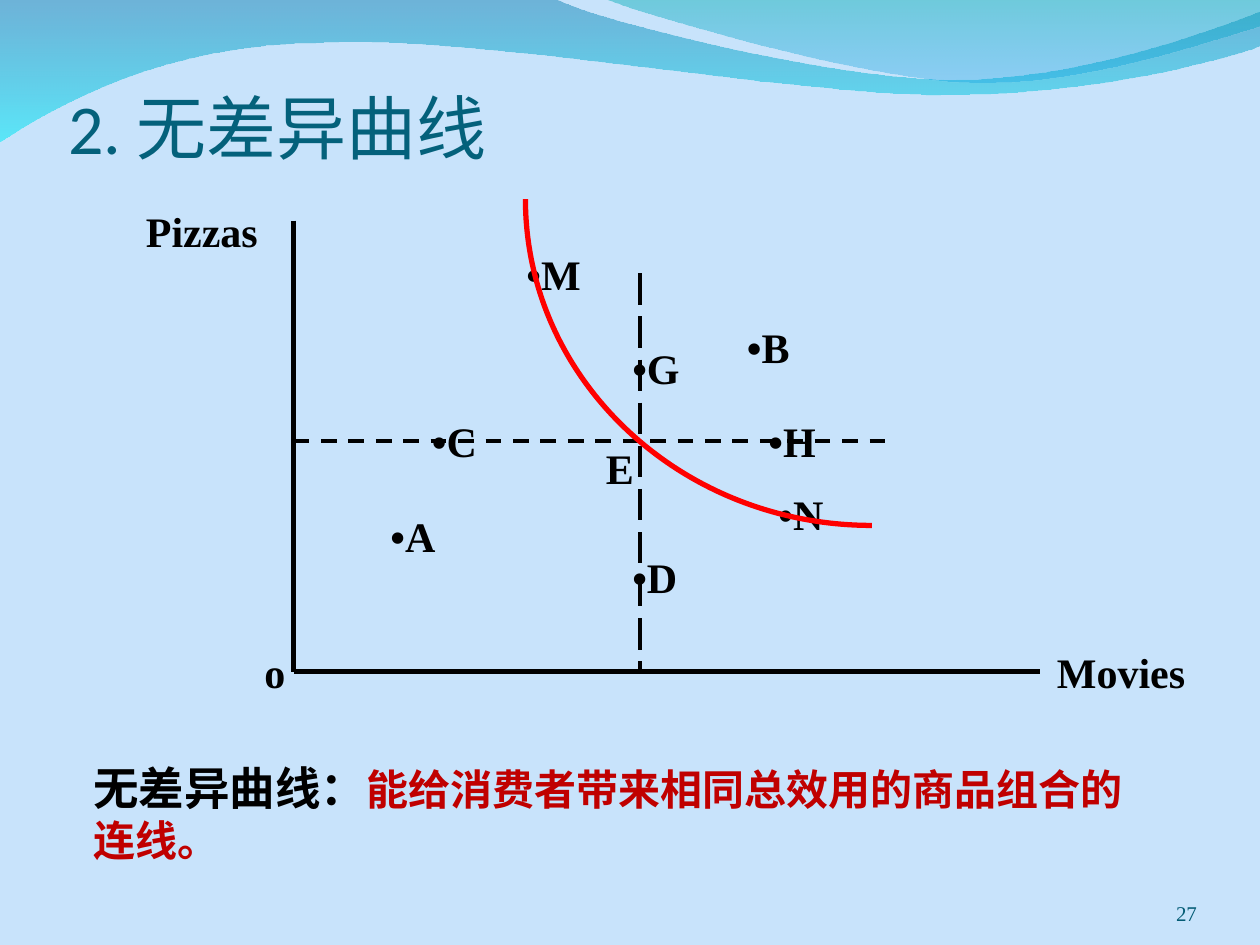
from dataclasses import dataclass
from typing import Optional

from lxml.etree import SubElement
from pptx import Presentation
from pptx.dml.color import RGBColor
from pptx.enum.dml import MSO_LINE
from pptx.enum.shapes import MSO_CONNECTOR
from pptx.enum.text import MSO_ANCHOR, MSO_AUTO_SIZE, PP_ALIGN
from pptx.oxml.ns import qn
from pptx.util import Inches, Pt


@dataclass(frozen=True)
class Theme:
    back: str = "C8E3FB"
    ink: str = "000000"
    title: str = "04617B"
    page: str = "045C75"
    curve: str = "FF0000"
    term: str = "C00000"
    serif: str = "Times New Roman"
    han: str = "Noto Sans CJK SC"
    head: int = 40
    lead: int = 26
    body: int = 24
    small: int = 12


@dataclass(frozen=True)
class Label:
    text: str
    left: float
    top: float
    width: float = 1.17


@dataclass(frozen=True)
class Rule:
    start: tuple
    end: tuple
    width: float = 3
    dash: Optional[MSO_LINE] = None


@dataclass(frozen=True)
class Wave:
    start: tuple
    steps: tuple
    stops: tuple


THEME = Theme()
LEFT, BASE = 2.33, 5.33
MID_X, MID_Y = 5.08, 3.5

WAVES = (
    Wave(
        (0, -0.01),
        (
            (4.4, -0.01),
            (4.76, 0.17, 6.64, 0.63, 7.58, 0.63),
            (8.53, 0.63, 9.58, 0.26, 10, 0.09),
            (10.01, 0.36),
            (9.83, 0.44, 8.7, 0.76, 7.46, 0.75),
            (6.22, 0.75, 3.82, 0.28, 2.57, 0.34),
            (1.29, 0.35, 0.46, 0.83, -0.01, 1.13),
        ),
        (("0079AF", 45), ("00EBF8", 55)),
    ),
    Wave(
        (4.79, -0.01),
        (
            (5.09, 0.11, 6.82, 0.62, 7.69, 0.65),
            (8.56, 0.69, 9.61, 0.32, 10, 0.21),
            (10, 0),
        ),
        (("00ADB6", 45), ("009BE5", 30)),
    ),
)

RULES = (
    Rule((LEFT, 1.75), (LEFT, BASE)),
    Rule((LEFT, BASE), (8.25, BASE)),
    Rule((LEFT, MID_Y), (7.08, MID_Y), 2.25, MSO_LINE.DASH),
    Rule((MID_X, 2.17), (MID_X, BASE), 2.25, MSO_LINE.LONG_DASH),
)

LABELS = (
    Label("o", 2, 5.08, 0.42),
    Label("E", 4.71, 3.46, 0.42),
    Label("•B", 5.83, 2.5),
    Label("•A", 3, 4),
    Label("•C", 3.33, 3.25),
    Label("•D", 4.92, 4.33),
    Label("•H", 6, 3.25),
    Label("•G", 4.92, 2.67),
    Label("•M", 4.08, 1.92),
    Label("•N", 6.08, 3.83),
    Label("Movies", 8.29, 5.08, 1.43),
    Label("Pizzas", 1.06, 1.58, 1.27),
)


def paint(run, face: str, size: int, tint: str, bold: bool = False) -> None:
    font = run.font
    font.name, font.size, font.bold = face, Pt(size), bold
    font.color.rgb = RGBColor.from_string(tint)
    SubElement(run._r.get_or_add_rPr(), qn("a:ea")).set("typeface", THEME.han)


def outline(slide, start: tuple, steps: tuple, close: bool):
    spots = [
        (Inches(step[i]), Inches(step[i + 1]))
        for step in steps
        for i in range(0, len(step), 2)
    ]
    pen = slide.shapes.build_freeform(*map(Inches, start), scale=1.0)
    pen.add_line_segments(spots, close=close)
    shape = pen.convert_to_shape()
    shape.shadow.inherit = False
    legs = iter(list(shape._element.iter(qn("a:lnTo"))))
    for step in steps:
        group = [next(legs) for _ in range(len(step) // 2)]
        if len(group) == 3:
            track = group[0].getparent()
            bend = SubElement(track, qn("a:cubicBezTo"))
            group[0].addprevious(bend)
            for leg in group:
                bend.append(leg[0])
                track.remove(leg)
    return shape


def add_wave(slide, wave: Wave) -> None:
    shape = outline(slide, wave.start, wave.steps, True)
    shape.line.fill.background()
    fill = shape.fill
    fill.gradient()
    fill.gradient_angle = 270
    for i, (stop, (tint, alpha)) in enumerate(zip(fill.gradient_stops, wave.stops)):
        stop.position = i
        stop.color.rgb = RGBColor.from_string(tint)
        node = stop._gs.find(qn("a:srgbClr"))
        SubElement(node, qn("a:alpha")).set("val", str(alpha * 1000))


def add_rule(slide, rule: Rule) -> None:
    ends = [Inches(v) for v in rule.start + rule.end]
    link = slide.shapes.add_connector(MSO_CONNECTOR.STRAIGHT, *ends)
    link.line.width = Pt(rule.width)
    link.line.color.rgb = RGBColor.from_string(THEME.ink)
    if rule.dash:
        link.line.dash_style = rule.dash
    SubElement(link._element.spPr, qn("a:effectLst"))


def add_box(slide, left: float, top: float, width: float, height: float):
    box = slide.shapes.add_textbox(*map(Inches, (left, top, width, height)))
    box.text_frame.word_wrap = True
    return box.text_frame


def add_label(slide, label: Label) -> None:
    frame = add_box(slide, label.left, label.top, label.width, 0.5)
    frame.text = label.text
    paint(frame.paragraphs[0].runs[0], THEME.serif, THEME.body, THEME.ink, True)


def add_title(slide) -> None:
    title = slide.shapes.title
    title.left, title.top, title.width, title.height = map(Inches, (0.54, 0.8, 9.02, 0.54))
    frame = title.text_frame
    frame.text = "2. 无差异曲线"
    frame.auto_size = MSO_AUTO_SIZE.NONE
    frame.vertical_anchor = MSO_ANCHOR.BOTTOM
    frame.margin_left = frame.margin_right = frame.margin_bottom = 0
    frame.margin_top = Inches(0.05)
    line = frame.paragraphs[0]
    line.alignment = PP_ALIGN.LEFT
    paint(line.runs[0], "Calibri", THEME.head, THEME.title)


def add_curve(slide) -> None:
    bend = ((5.4, 4.17, 4.17, 3.01, 4.17, 1.58),)
    shape = outline(slide, (6.92, 4.17), bend, False)
    shape.fill.background()
    shape.line.width = Pt(3)
    shape.line.color.rgb = RGBColor.from_string(THEME.curve)


def add_term(slide) -> None:
    line = add_box(slide, 0.64, 5.98, 8.38, 0.94).paragraphs[0]
    parts = (
        ("无差异曲线：", THEME.han, THEME.lead, THEME.ink),
        ("能给消费者带来相同总效用的商品组合的连线。", "Arial", THEME.body, THEME.term),
    )
    for text, *look in parts:
        run = line.add_run()
        run.text = text
        paint(run, *look, bold=True)


def add_page(slide) -> None:
    frame = add_box(slide, 8.67, 6.95, 0.83, 0.4)
    frame.margin_left = frame.margin_right = frame.margin_top = frame.margin_bottom = 0
    frame.vertical_anchor = MSO_ANCHOR.BOTTOM
    frame.text = "27"
    line = frame.paragraphs[0]
    line.alignment = PP_ALIGN.RIGHT
    paint(line.runs[0], THEME.serif, THEME.small, THEME.page)


def main() -> None:
    deck = Presentation()
    deck.slide_width, deck.slide_height = Inches(10), Inches(7.5)
    slide = deck.slides.add_slide(deck.slide_layouts[5])
    slide.background.fill.solid()
    slide.background.fill.fore_color.rgb = RGBColor.from_string(THEME.back)
    for wave in WAVES:
        add_wave(slide, wave)
    add_title(slide)
    for rule in RULES:
        add_rule(slide, rule)
    for label in LABELS:
        add_label(slide, label)
    add_curve(slide)
    add_term(slide)
    add_page(slide)
    deck.save("out.pptx")


if __name__ == "__main__":
    main()
